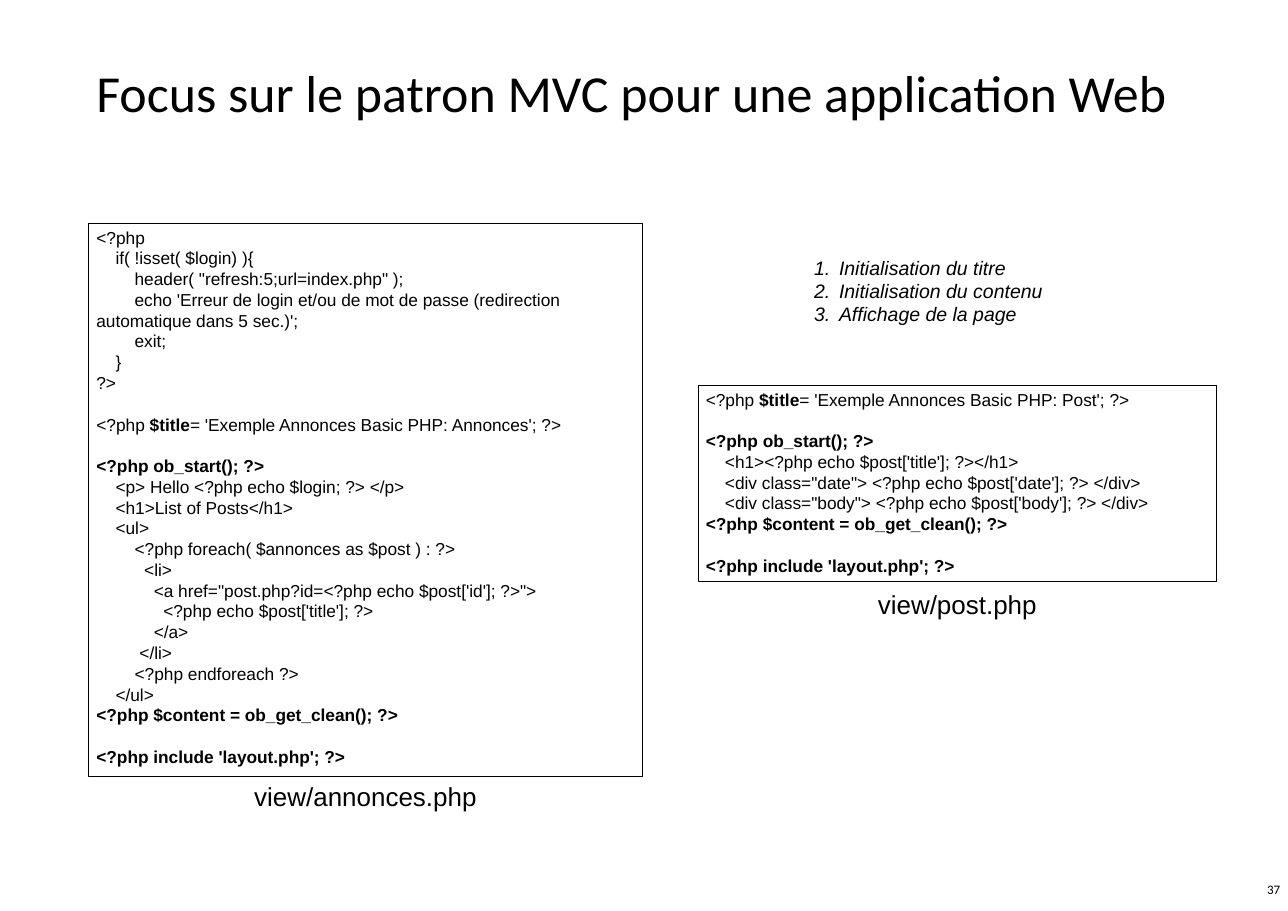
import pptx
import pptx.util
import pptx.dml.color
import pptx.enum.shapes
import pptx.enum.text
from lxml import etree

Pt = pptx.util.Pt
ALIGN = pptx.enum.text.PP_ALIGN
ANCHOR = pptx.enum.text.MSO_ANCHOR
COLORS = {"ink": "000000"}
INK = pptx.dml.color.RGBColor.from_string(COLORS["ink"])
CODE_LINE = 19.2  # height of one code line

deck = pptx.Presentation()
deck.slide_width, deck.slide_height = Pt(1190.16), Pt(841.68)
slide = deck.slides.add_slide(deck.slide_layouts[6])


def write(shape, lines, size, font="Arial", align=ALIGN.LEFT, anchor=ANCHOR.TOP):
    """Fill a shape: ** toggles bold, an empty line becomes space before the next."""
    frame = shape.text_frame
    frame.word_wrap = True
    frame.vertical_anchor = anchor
    paragraph, gap = frame.paragraphs[0], 0
    for number, line in enumerate(lines):
        if not line:
            gap = CODE_LINE
            continue
        if number:
            paragraph = frame.add_paragraph()
        paragraph.alignment = align
        if gap:
            paragraph.space_before = Pt(gap)
        gap = 0
        for part, text in enumerate(line.split("**")):
            if text:
                run = paragraph.add_run()
                run.text = text
                run.font.size = Pt(size)
                run.font.name = font
                run.font.bold = part % 2 == 1
                run.font.color.rgb = INK
    return frame


def text_box(left, top, width, height):
    return slide.shapes.add_textbox(Pt(left), Pt(top), Pt(width), Pt(height))


# Title and page number
title = write(text_box(82, 44.6, 1026.7, 87.8),
              ["Focus sur le patron MVC pour une application Web"],
              48, "Calibri", anchor=ANCHOR.MIDDLE)
title.paragraphs[0].line_spacing = 0.9
write(text_box(922.3, 799.2, 267.8, 44.6), ["37"], 12, "Calibri", ALIGN.RIGHT, ANCHOR.MIDDLE)

# Code of the two views
annonces_code = """<?php
    if( !isset( $login) ){
        header( "refresh:5;url=index.php" );
        echo 'Erreur de login et/ou de mot de passe (redirection automatique dans 5 sec.)';
        exit;
    }
?>

<?php **$title**= 'Exemple Annonces Basic PHP: Annonces'; ?>

**<?php ob_start(); ?>**
    <p> Hello <?php echo $login; ?> </p>
    <h1>List of Posts</h1>
    <ul>
        <?php foreach( $annonces as $post ) : ?>
          <li>
            <a href="post.php?id=<?php echo $post['id']; ?>">
              <?php echo $post['title']; ?>
            </a>
         </li>
        <?php endforeach ?>
    </ul>
**<?php $content = ob_get_clean(); ?>**

**<?php include 'layout.php'; ?>**"""

post_code = """<?php **$title**= 'Exemple Annonces Basic PHP: Post'; ?>

**<?php ob_start(); ?>**
    <h1><?php echo $post['title']; ?></h1>
    <div class="date"> <?php echo $post['date']; ?> </div>
    <div class="body"> <?php echo $post['body']; ?> </div>
**<?php $content = ob_get_clean(); ?>**

**<?php include 'layout.php'; ?>**"""

# Framed code with its file name centred below
views = [
    ("view/annonces.php", annonces_code, 82, 206, 511.2, 511.2, 717.2),
    ("view/post.php", post_code, 645.1, 355.7, 478.8, 181.4, 540),
]
for file_name, code, left, top, width, height, caption_top in views:
    frame = slide.shapes.add_shape(pptx.enum.shapes.MSO_SHAPE.RECTANGLE,
                                   Pt(left), Pt(top), Pt(width), Pt(height))
    frame.shadow.inherit = False
    frame.fill.background()
    frame.line.color.rgb = INK
    frame.line.width = Pt(0.75)
    write(frame, code.split("\n"), 16)
    write(text_box(left, caption_top, width, 36), [file_name], 24, align=ALIGN.CENTER)

# Numbered steps
steps = write(text_box(745.2, 232.6, 288.7, 72.7),
              ["Initialisation du titre", "Initialisation du contenu", "Affichage de la page"], 18)
for step in steps.paragraphs:
    properties = step._p.get_or_add_pPr()
    properties.set("marL", str(Pt(23)))
    properties.set("indent", str(-Pt(23)))
    etree.SubElement(properties, pptx.oxml.ns.qn("a:buFont"), typeface="+mj-lt")
    etree.SubElement(properties, pptx.oxml.ns.qn("a:buAutoNum"), type="arabicPeriod")
    step.runs[0].font.italic = True

deck.save("out.pptx")
